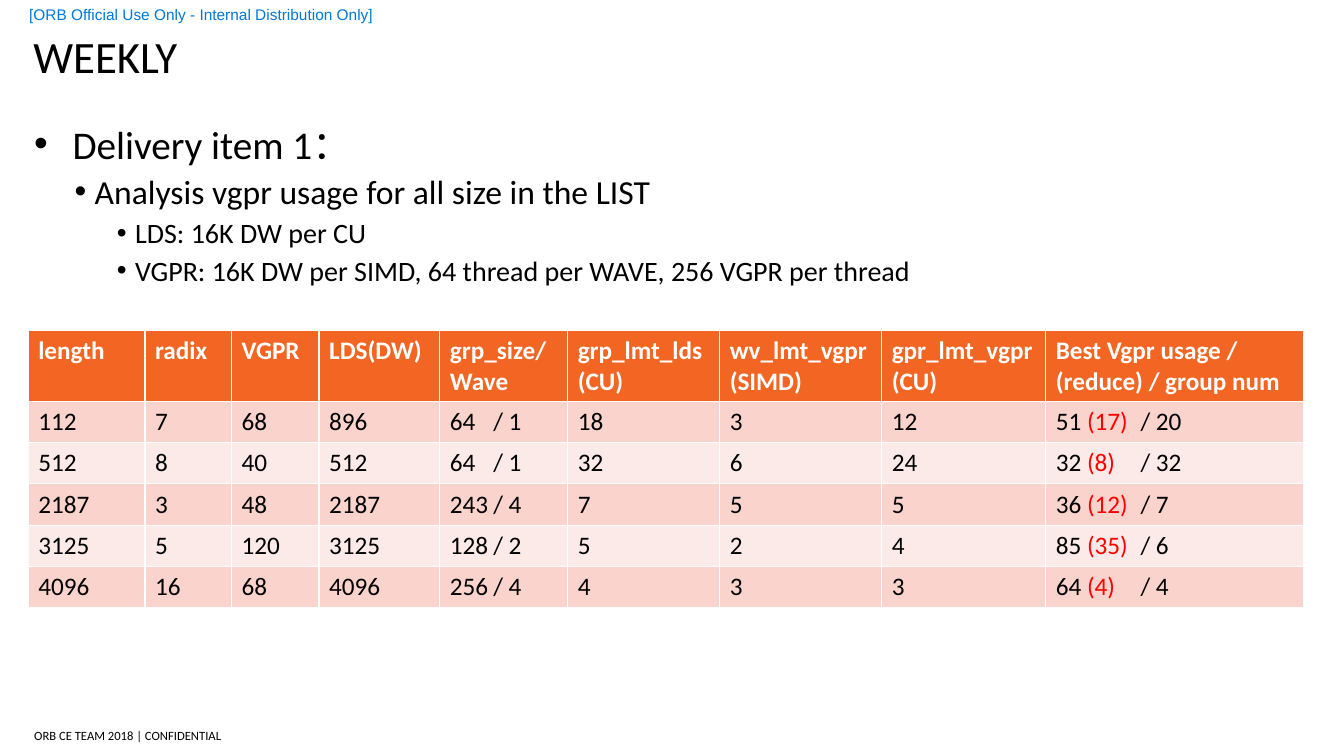
from lxml import etree
from pptx import Presentation
from pptx import util as u
from pptx.dml.color import RGBColor
from pptx.enum import text
from pptx.oxml import ns

BLACK = RGBColor(0x00, 0x00, 0x00)
WHITE = RGBColor(0xFF, 0xFF, 0xFF)
RED = RGBColor(0xFF, 0x00, 0x00)
BLUE = RGBColor(0x00, 0x78, 0xD7)
ORANGE = RGBColor(0xF2, 0x65, 0x22)
BANDS = (RGBColor(0xFA, 0xD3, 0xCD), RGBColor(0xFC, 0xEA, 0xE8))

SLIDE_WIDTH = u.Inches(13.33)
SLIDE_HEIGHT = u.Inches(7.5)

BULLETS = [
    (0, "Delivery item 1："),
    (1, "Analysis vgpr usage for all size in the LIST"),
    (2, "LDS: 16K DW per CU"),
    (2, "VGPR: 16K DW per SIMD, 64 thread per WAVE, 256 VGPR per thread"),
]
LEVELS = [(28, 0.38, 0.38, 8), (24, 0.6, 0.2, 3), (20, 1, 0.18, 3)]

COLUMN_SHARES = [1.16, 0.86, 0.87, 1.2, 1.27, 1.51, 1.61, 1.63, 2.56]
ROW_SHARES = [0.7] + [0.41] * 5
TAB_STOPS = {4: 0.43, 8: 0.84}
HEADER = ["length", "radix", "VGPR", "LDS(DW)", "grp_size/\nWave",
          "grp_lmt_lds\n(CU)", "wv_lmt_vgpr\n(SIMD)", "gpr_lmt_vgpr\n(CU)",
          "Best Vgpr usage /\n(reduce) / group num"]
ROWS = [
    ["112", "7", "68", "896", ["64", "\t/ 1"], "18", "3", "12", ["51 ", "(17)", "\t/ 20"]],
    ["512", "8", "40", "512", ["64", "\t/ 1"], "32", "6", "24", ["32 ", "(8)", "\t/ 32"]],
    ["2187", "3", "48", "2187", ["243", "\t/ 4"], "7", "5", "5", ["36 ", "(12)", "\t/ 7"]],
    ["3125", "5", "120", "3125", ["128", "\t/ 2"], "5", "2", "4", ["85 ", "(35)", "\t/ 6"]],
    ["4096", "16", "68", "4096", ["256", "\t/ 4"], "4", "3", "3", ["64 ", "(4)", "\t/ 4"]],
]


def percent_box(left, top, width, height):
    return [int(SLIDE_WIDTH * left / 100), int(SLIDE_HEIGHT * top / 100),
            int(SLIDE_WIDTH * width / 100), int(SLIDE_HEIGHT * height / 100)]


def style(span, size, color, bold=False, name="Calibri"):
    span.font.size = u.Pt(size)
    span.font.name = name
    span.font.bold = bold
    span.font.color.rgb = color


def add_text(page, box, anchor, left=0, top=0, bottom=0, wrap=True):
    frame = page.shapes.add_textbox(*box).text_frame
    frame.word_wrap = wrap
    frame.vertical_anchor = anchor
    frame.margin_left, frame.margin_right = u.Inches(left), 0
    frame.margin_top, frame.margin_bottom = u.Inches(top), u.Inches(bottom)
    return frame


def add_line(page, box, words, size, color, name="Calibri", **layout):
    frame = add_text(page, box, **layout)
    frame.text = words
    style(frame.paragraphs[0].runs[0], size, color, name=name)


def add_bullets(page, box):
    frame = add_text(page, box, text.MSO_ANCHOR.TOP, top=0.05, bottom=0.05)
    frame.text = "\n".join(words for _, words in BULLETS)
    for para, (level, _) in zip(frame.paragraphs, BULLETS):
        size, margin, hanging, space = LEVELS[level]
        para.level = level
        para.space_before = u.Pt(space)
        style(para.runs[0], size, BLACK)
        props = para._p.get_or_add_pPr()
        props.set("marL", str(u.Inches(margin)))
        props.set("indent", str(-u.Inches(hanging)))
        font = etree.SubElement(props, ns.qn("a:buFont"))
        font.set("typeface", "Arial")
        etree.SubElement(props, ns.qn("a:buChar")).set("char", "•")


def add_tab_stop(para, position):
    stops = etree.SubElement(para._p.get_or_add_pPr(), ns.qn("a:tabLst"))
    stop = etree.SubElement(stops, ns.qn("a:tab"))
    stop.set("pos", str(u.Inches(position)))
    stop.set("algn", "l")


def fill_cell(cell, content, color, is_header):
    cell.fill.solid()
    cell.fill.fore_color.rgb = color
    if is_header:
        cell.text_frame.text = content
        for para in cell.text_frame.paragraphs:
            style(para.runs[0], 18, WHITE, bold=True)
        return
    cell.vertical_anchor = text.MSO_ANCHOR.MIDDLE
    para = cell.text_frame.paragraphs[0]
    for words in [content] if isinstance(content, str) else content:
        span = para.add_run()
        span.text = words
        style(span, 18, RED if words.startswith("(") else BLACK)


def add_usage_table(page, box):
    _, _, width, height = box
    grid = page.shapes.add_table(len(ROW_SHARES), len(COLUMN_SHARES), *box).table
    for column, share in zip(grid.columns, COLUMN_SHARES):
        column.width = int(width * share / sum(COLUMN_SHARES))
    for row, share in zip(grid.rows, ROW_SHARES):
        row.height = int(height * share / sum(ROW_SHARES))
    for r, contents in enumerate([HEADER] + ROWS):
        color = BANDS[(r - 1) % 2] if r else ORANGE
        for c, content in enumerate(contents):
            cell = grid.cell(r, c)
            fill_cell(cell, content, color, r == 0)
            if r and c in TAB_STOPS:
                add_tab_stop(cell.text_frame.paragraphs[0], TAB_STOPS[c])


def main():
    deck = Presentation()
    deck.slide_width, deck.slide_height = SLIDE_WIDTH, SLIDE_HEIGHT
    page = deck.slides.add_slide(deck.slide_layouts[6])
    middle = text.MSO_ANCHOR.MIDDLE
    add_line(page, percent_box(2.55, 95.73, 14.55, 3.2),
             "ORB CE TEAM 2018 | CONFIDENTIAL", 9, BLACK,
             anchor=middle, top=0.04, bottom=0.04, wrap=False)
    add_line(page, percent_box(0, 0, 28.65, 3.87),
             "[ORB Official Use Only - Internal Distribution Only]", 11, BLUE,
             name="Arial", anchor=middle, left=0.29)
    add_bullets(page, percent_box(2.55, 15.2, 93, 76.93))
    add_line(page, percent_box(2.48, 4, 95.25, 6.93), "WEEKLY", 32, BLACK,
             anchor=text.MSO_ANCHOR.BOTTOM, top=0.05)
    add_usage_table(page, percent_box(2.1, 43.73, 94.9, 36.67))
    deck.save("out.pptx")


if __name__ == "__main__":
    main()
